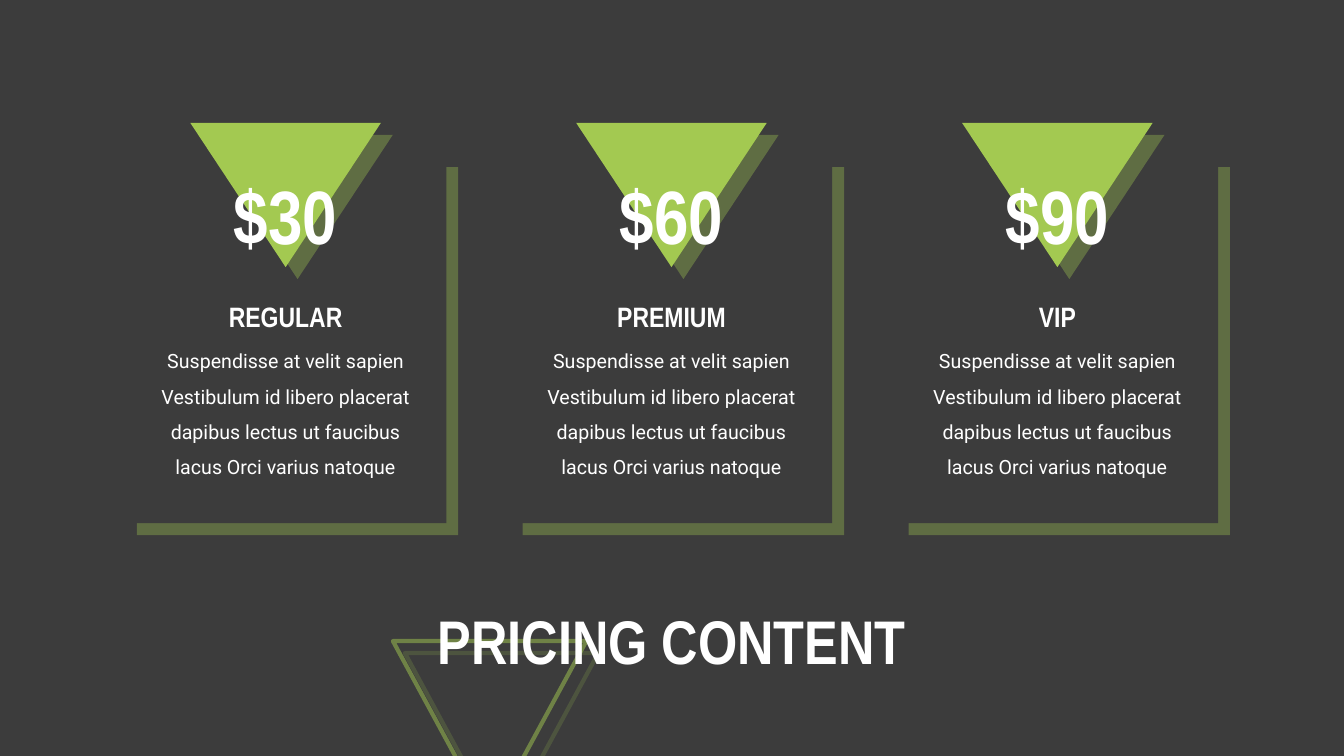
"""Build a pricing slide with three plan cards."""
from dataclasses import dataclass

from lxml import etree
from pptx import Presentation
from pptx.dml.color import RGBColor
from pptx.enum import shapes as es, text as et
from pptx.oxml import ns
from pptx.util import Inches, Pt

DARK, LIME, WHITE = "3C3C3C", "A3C951", "FFFFFF"
HEAD, BODY = "Arial Narrow", "Roboto"
LEFT, PITCH = 1.24, 3.83
BLURB = ("Suspendisse at velit sapien Vestibulum id libero placerat "
         "dapibus lectus ut faucibus lacus Orci varius natoque")


@dataclass
class Box:
    left: float
    top: float
    width: float
    height: float

    def shift(self, dx: float) -> "Box":
        return Box(self.left + dx, self.top, self.width, self.height)

    def spans(self) -> list:
        return [Inches(v) for v in (self.left, self.top, self.width, self.height)]


@dataclass
class Style:
    face: str
    size: float
    bold: bool
    space: float = 1.0


@dataclass
class Plan:
    price: str
    name: str


PLANS = [Plan("$30", "REGULAR"), Plan("$60", "PREMIUM"), Plan("$90", "VIP")]
CARD = Box(0, 1.54, 3.19, 3.65)
WEDGE = Box(0.65, 1.22, 1.89, 1.43)
PRICE = Box(0.76, 1.63, 1.67, 1)
NAME = Box(0.65, 2.92, 1.89, 0.44)
NOTE = Box(0.19, 3.3, 2.81, 1.5)


def tint(code: str) -> RGBColor:
    return RGBColor.from_string(code)


def fade(node, pct: int) -> None:
    etree.SubElement(node, ns.qn("a:alpha")).set("val", str(pct * 1000))


def cast(shape) -> None:
    """Give a shape a hard lime shadow to the lower right."""
    shape.shadow.inherit = False
    effects = shape._element.spPr.find(ns.qn("a:effectLst"))
    shade = etree.SubElement(effects, ns.qn("a:outerShdw"))
    opts = {"blurRad": 0, "dist": Pt(12.1), "dir": 45 * 60000,
            "algn": "tl", "rotWithShape": 0}
    for key, val in opts.items():
        shade.set(key, str(val))
    color = etree.SubElement(shade, ns.qn("a:srgbClr"))
    color.set("val", LIME)
    fade(color, 35)


def block(slide, kind, box: Box, fill: str = "", turn: float = 0):
    shape = slide.shapes.add_shape(kind, *box.spans())
    shape.rotation = turn
    if fill:
        shape.fill.solid()
        shape.fill.fore_color.rgb = tint(fill)
        shape.line.fill.background()
    else:
        shape.fill.background()
        shape.line.color.rgb = tint(LIME)
        shape.line.width = Pt(3)
        fade(shape.line._ln.find(".//" + ns.qn("a:srgbClr")), 50)
    cast(shape)
    return shape


def write(slide, box: Box, words: str, style: Style, grow: bool = True) -> None:
    frame = slide.shapes.add_textbox(*box.spans()).text_frame
    frame.word_wrap = True
    if grow:
        frame.auto_size = et.MSO_AUTO_SIZE.SHAPE_TO_FIT_TEXT
    else:
        frame.vertical_anchor = et.MSO_ANCHOR.MIDDLE
    para = frame.paragraphs[0]
    para.alignment = et.PP_ALIGN.CENTER
    para.line_spacing = style.space
    run = para.add_run()
    run.text = words
    look = {"name": style.face, "size": Pt(style.size), "bold": style.bold}
    for key, val in look.items():
        setattr(run.font, key, val)
    run.font.color.rgb = tint(WHITE)


def card(slide, plan: Plan, left: float) -> None:
    kinds = es.MSO_SHAPE
    block(slide, kinds.RECTANGLE, CARD.shift(left), DARK)
    block(slide, kinds.ISOSCELES_TRIANGLE, WEDGE.shift(left), LIME, 180)
    write(slide, PRICE.shift(left), plan.price, Style(HEAD, 54, True))
    write(slide, NAME.shift(left), plan.name, Style(HEAD, 20, True))
    write(slide, NOTE.shift(left), BLURB, Style(BODY, 14, False, 1.5))


def main() -> None:
    deck = Presentation()
    deck.slide_width, deck.slide_height = Inches(13.34), Inches(7.5)
    slide = deck.slides.add_slide(deck.slide_layouts[6])
    slide.background.fill.solid()
    slide.background.fill.fore_color.rgb = tint(DARK)
    block(slide, es.MSO_SHAPE.ISOSCELES_TRIANGLE, Box(3.9, 6.36, 1.92, 1.77), turn=180)
    write(slide, Box(3.27, 5.9, 6.8, 0.98), "PRICING CONTENT",
          Style(HEAD, 44, True, 0.9), grow=False)
    for i, plan in enumerate(PLANS):
        card(slide, plan, LEFT + i * PITCH)
    deck.save("out.pptx")


if __name__ == "__main__":
    main()
